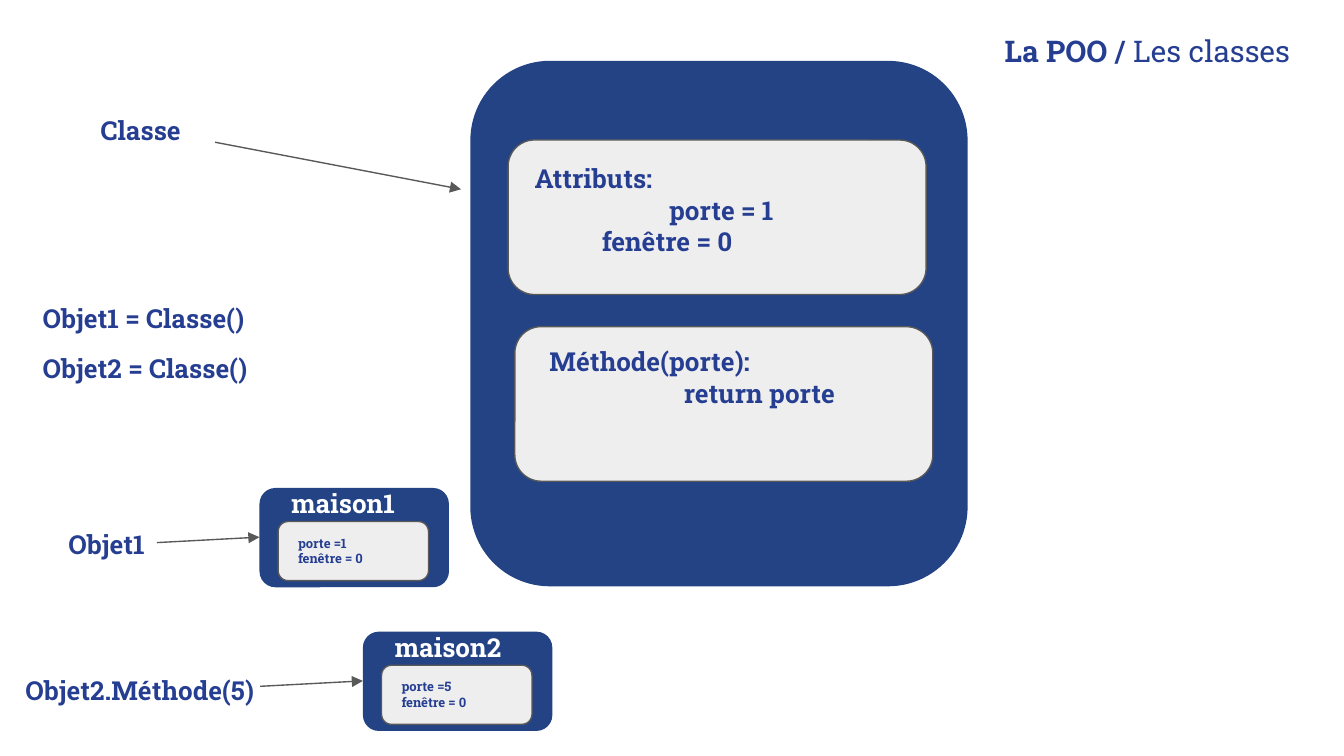
"""Build a slide that explains classes and objects."""
from dataclasses import dataclass
from typing import Optional

from lxml import etree
from pptx import Presentation
from pptx import util as u
from pptx.dml import color as c
from pptx.enum import shapes, text
from pptx.oxml import ns

FONT = "Roboto Slab"
INK, NAVY, PALE, GREY, WHITE = "263E92", "234385", "EEEEEE", "595959", "FFFFFF"


@dataclass(frozen=True)
class Box:
    left: float
    top: float
    width: float
    height: float


@dataclass(frozen=True)
class Line:
    text: str
    indent: float = 0


@dataclass(frozen=True)
class Label:
    box: Box
    lines: tuple[Line, ...]


@dataclass(frozen=True)
class House:
    left: float
    top: float
    name: str
    doors: int


@dataclass(frozen=True)
class Arrow:
    start: tuple[float, float]
    end: tuple[float, float]


CLASS_BOX = Box(252, 32.6, 266.4, 281.5)
MEMBER_BOXES = (Box(272.2, 75, 223.9, 82.8), Box(275.8, 175, 223.9, 82.8))
LABELS = (
    Label(Box(46.8, 54, 90, 31.7), (Line("Classe"),)),
    Label(Box(279.4, 80, 211, 65.5),
          (Line("Attributs:"), Line("porte = 1", 72), Line("fenêtre = 0", 36))),
    Label(Box(287.3, 178, 208, 48.2),
          (Line("Méthode(porte):"), Line("return porte", 72))),
    Label(Box(29.5, 275.8, 90, 31.7), (Line("Objet1"),)),
    Label(Box(6.5, 354.2, 143.3, 31.7), (Line("Objet2.Méthode(5)"),)),
    Label(Box(15.8, 154.8, 136.8, 31.7), (Line("Objet1 = Classe()"),)),
    Label(Box(15.8, 181.5, 136.8, 31.7), (Line("Objet2 = Classe()"),)),
)
HOUSES = (House(139, 261.4, "maison1", 1), House(194.4, 338.4, "maison2", 5))
CLASS_ARROW = Arrow((115.2, 76.2), (247, 101.4))


def rgb(value: str) -> c.RGBColor:
    return c.RGBColor.from_string(value)


def place(shape, box: Box) -> None:
    shape.left, shape.top = u.Pt(box.left), u.Pt(box.top)
    shape.width, shape.height = u.Pt(box.width), u.Pt(box.height)


def write(paragraph, words: str, *, size: float = 14, color: str = INK,
          bold: bool = True) -> None:
    run = paragraph.add_run()
    run.text = words
    run.font.name, run.font.size, run.font.bold = FONT, u.Pt(size), bold
    run.font.color.rgb = rgb(color)


def set_margins(frame, margin: float) -> None:
    frame.margin_left = frame.margin_right = u.Pt(margin)
    frame.margin_top = frame.margin_bottom = u.Pt(margin)
    frame.vertical_anchor = text.MSO_ANCHOR.TOP
    frame.word_wrap = True


def add_title(slide) -> None:
    title = slide.shapes.title
    place(title, Box(363.6, 23, 327.6, 13.7))
    frame = title.text_frame
    set_margins(frame, 0)
    frame.auto_size = text.MSO_AUTO_SIZE.NONE
    paragraph = frame.paragraphs[0]
    paragraph.alignment = text.PP_ALIGN.RIGHT
    paragraph.line_spacing = 0.7
    write(paragraph, "La POO / ", size=16)
    write(paragraph, "Les classes", size=16, bold=False)


def add_label(slide, label: Label, *, size: float = 14, color: str = INK) -> None:
    box = label.box
    shape = slide.shapes.add_textbox(0, 0, 0, 0)
    place(shape, box)
    frame = shape.text_frame
    set_margins(frame, 7.2)
    for index, line in enumerate(label.lines):
        paragraph = frame.add_paragraph() if index else frame.paragraphs[0]
        if line.indent:
            properties = paragraph._p.get_or_add_pPr()
            properties.set("marL", "0")
            properties.set("indent", str(u.Pt(line.indent)))
        write(paragraph, line.text, size=size, color=color)


def add_panel(slide, box: Box, fill: str, outline: Optional[str] = None) -> None:
    shape = slide.shapes.add_shape(shapes.MSO_SHAPE.ROUNDED_RECTANGLE, 0, 0, 0, 0)
    place(shape, box)
    shape.adjustments[0] = 0.17 if outline else 0.16
    shape.shadow.inherit = False
    shape.fill.solid()
    shape.fill.fore_color.rgb = rgb(fill)
    if outline:
        shape.line.color.rgb = rgb(outline)
        shape.line.width = u.Pt(0.75)
    else:
        shape.line.fill.background()


def add_arrow(slide, arrow: Arrow) -> None:
    points = [u.Pt(value) for value in arrow.start + arrow.end]
    connector = slide.shapes.add_connector(shapes.MSO_CONNECTOR.STRAIGHT, *points)
    connector.line.color.rgb = rgb(GREY)
    connector.line.width = u.Pt(0.75)
    head = etree.SubElement(connector.line._get_or_add_ln(), ns.qn("a:tailEnd"))
    head.set("type", "triangle")
    etree.SubElement(connector._element.spPr, ns.qn("a:effectLst"))


def add_house(slide, house: House) -> None:
    left, top = house.left, house.top
    add_panel(slide, Box(left, top, 101.5, 53.2), NAVY)
    add_panel(slide, Box(left + 10, top + 18, 80.6, 31.7), PALE, GREY)
    add_label(slide, Label(Box(left + 10, top - 7.5, 90, 31.7), (Line(house.name),)),
              color=WHITE)
    attributes = (Line(f"porte ={house.doors}"), Line("fenêtre = 0"))
    add_label(slide, Label(Box(left + 13.6, top + 18, 73.4, 31.7), attributes), size=7)
    add_arrow(slide, Arrow((left - 55, top + 29.3), (left, top + 26.4)))


def main() -> None:
    presentation = Presentation()
    presentation.slide_width, presentation.slide_height = u.Pt(720), u.Pt(405)
    slide = presentation.slides.add_slide(presentation.slide_layouts[5])
    add_title(slide)
    add_panel(slide, CLASS_BOX, NAVY)
    for box in MEMBER_BOXES:
        add_panel(slide, box, PALE, GREY)
    for house in HOUSES:
        add_house(slide, house)
    for label in LABELS:
        add_label(slide, label)
    add_arrow(slide, CLASS_ARROW)
    presentation.save("out.pptx")


if __name__ == "__main__":
    main()
